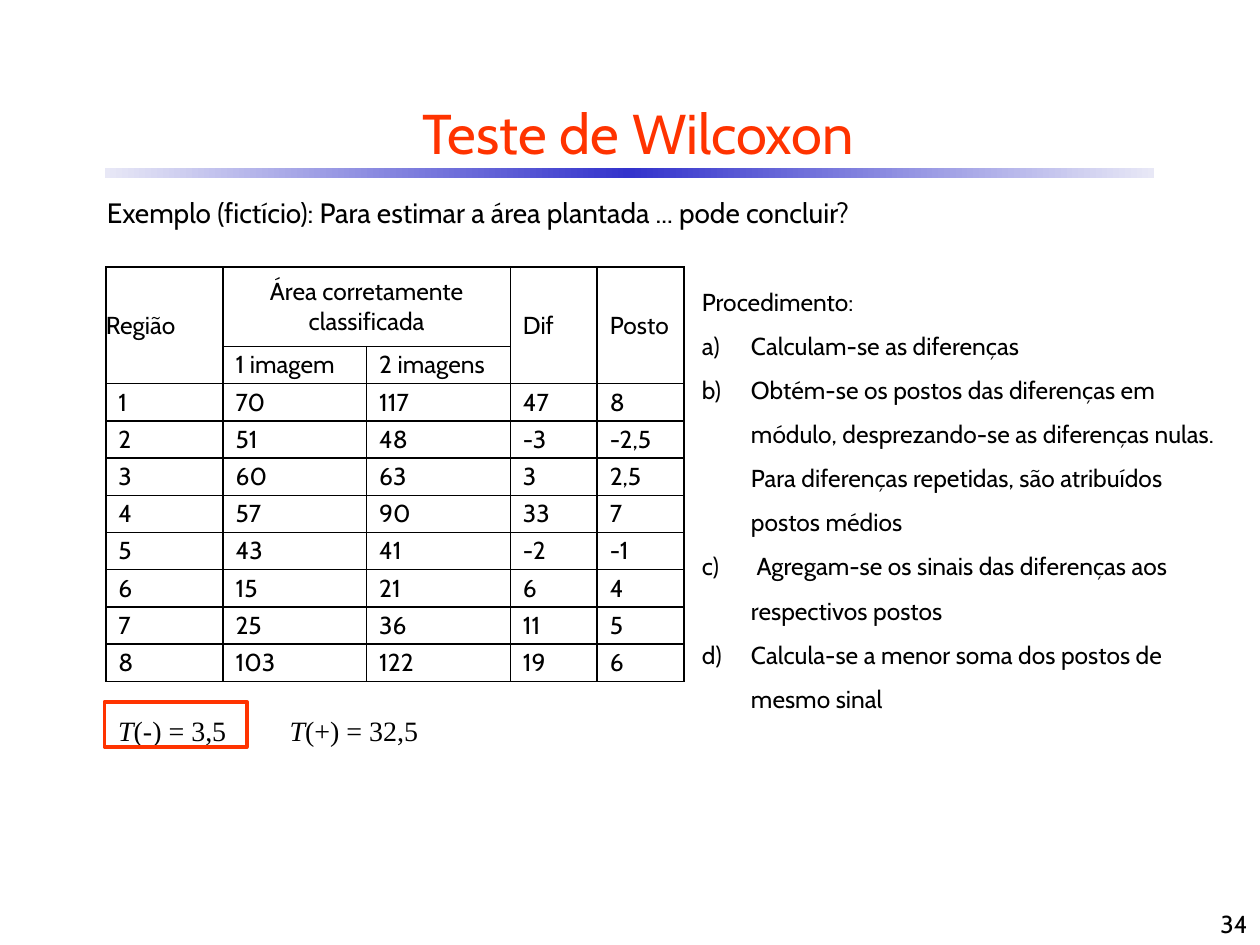
import pptx
import pptx.util
import pptx.dml.color
import pptx.enum.shapes
import pptx.enum.text
import pptx.oxml
import pptx.oxml.ns

Inches = pptx.util.Inches
Pt = pptx.util.Pt
RGBColor = pptx.dml.color.RGBColor
ALIGN = pptx.enum.text.PP_ALIGN
ANCHOR = pptx.enum.text.MSO_ANCHOR
FIT = pptx.enum.text.MSO_AUTO_SIZE
RECTANGLE = pptx.enum.shapes.MSO_SHAPE.RECTANGLE

BLACK = RGBColor(0x00, 0x00, 0x00)
WHITE = RGBColor(0xFF, 0xFF, 0xFF)
ORANGE = RGBColor(0xFF, 0x33, 0x00)
BLUE = RGBColor(0x33, 0x33, 0xCC)
PALE = RGBColor(0xE8, 0xE8, 0xF6)

HEADERS = {
    (0, 0): "Região",
    (0, 1): "Área corretamente classificada",
    (0, 3): "Dif",
    (0, 4): "Posto",
    (1, 1): "1 imagem",
    (1, 2): "2 imagens",
}
MERGES = [((0, 0), (1, 0)), ((0, 1), (0, 2)), ((0, 3), (1, 3)), ((0, 4), (1, 4))]
REGIONS = [
    ("1", "70", "117", "47", "8"),
    ("2", "51", "48", "-3", "-2,5"),
    ("3", "60", "63", "3", "2,5"),
    ("4", "57", "90", "33", "7"),
    ("5", "43", "41", "-2", "-1"),
    ("6", "15", "21", "6", "4"),
    ("7", "25", "36", "11", "5"),
    ("8", "103", "122", "19", "6"),
]
COLUMN_WIDTHS = [0.93, 1.14, 1.14, 0.69, 0.69]
HEADER_HEIGHT, TABLE_HEIGHT = 0.63, 3.29

STEPS = [
    "Calculam-se as diferenças",
    "Obtém-se os postos das diferenças em módulo, desprezando-se as diferenças "
    "nulas. Para diferenças repetidas, são atribuídos postos médios",
    " Agregam-se os sinais das diferenças aos respectivos postos",
    "Calcula-se a menor soma dos postos de mesmo sinal",
]


def add_xml(parent, tag, content="", **attributes):
    """Append one DrawingML element to parent."""
    listed = "".join(f' {name}="{value}"' for name, value in attributes.items())
    namespace = pptx.oxml.ns.nsdecls("a")
    parent.append(pptx.oxml.parse_xml(
        f"<a:{tag} {namespace}{listed}>{content}</a:{tag}>"))


class SlideBuilder:
    def __init__(self, page, font="Cabin", size=14):
        self.page = page
        self.font = font
        self.size = size

    def span(self, para, text, size=None, color=BLACK, font=None, italic=False):
        span = para.add_run()
        span.text = text
        span.font.name = font or self.font
        span.font.size = Pt(size or self.size)
        span.font.color.rgb = color
        span.font.italic = italic

    def indent(self, para, hanging, line_spacing=1.0):
        properties = para._p.get_or_add_pPr()
        properties.set("marL", str(Inches(hanging)))
        properties.set("indent", str(-Inches(hanging)))
        para.line_spacing = line_spacing
        para.space_before = Pt(0)
        return properties

    def place(self, box, left, top, width, height):
        box.left, box.top = Inches(left), Inches(top)
        box.width, box.height = Inches(width), Inches(height)

    def title(self, text, *frame):
        box = self.page.shapes.title
        self.place(box, *frame)
        box.text_frame.vertical_anchor = ANCHOR.MIDDLE
        para = box.text_frame.paragraphs[0]
        para.alignment = ALIGN.CENTER
        self.span(para, text, size=32, color=ORANGE)

    def lettered_list(self, heading, items, *frame):
        box = self.page.placeholders[1]
        self.place(box, *frame)
        words = box.text_frame
        words.auto_size = FIT.SHAPE_TO_FIT_TEXT
        for number, text in enumerate([heading, *items]):
            para = words.add_paragraph() if number else words.paragraphs[0]
            properties = self.indent(para, 0.39, 1.5)
            if number:
                add_xml(properties, "buAutoNum", type="alphaLcParenR")
            else:
                add_xml(properties, "buNone")
            self.span(para, text)

    def text_box(self, *frame, anchor=ANCHOR.TOP, fit=FIT.SHAPE_TO_FIT_TEXT):
        """Add an empty text box and return its first paragraph."""
        box = self.page.shapes.add_textbox(*map(Inches, frame))
        box.text_frame.word_wrap = True
        box.text_frame.auto_size = fit
        box.text_frame.vertical_anchor = anchor
        return box.text_frame.paragraphs[0]

    def rectangle(self, *frame):
        box = self.page.shapes.add_shape(RECTANGLE, *map(Inches, frame))
        box.shadow.inherit = False
        return box

    def gradient_bar(self, *frame):
        bar = self.rectangle(*frame)
        bar.line.fill.background()
        bar.fill.gradient()
        bar.fill.gradient_angle = 0
        stops = bar.fill._fill._gradFill.gsLst
        for stop in list(stops):
            stops.remove(stop)
        for position, color in [(0, PALE), (50000, BLUE), (100000, PALE)]:
            add_xml(stops, "gs", f'<a:srgbClr val="{color}"/>', pos=position)

    def outline(self, *frame):
        box = self.rectangle(*frame)
        box.fill.background()
        box.line.color.rgb = ORANGE
        box.line.width = Pt(2)

    def cell(self, cell, text, margin=0.1, align=ALIGN.LEFT):
        cell.margin_left = cell.margin_right = Inches(margin)
        cell.margin_top = cell.margin_bottom = 0
        cell.vertical_anchor = ANCHOR.MIDDLE
        for side in ("lnL", "lnR", "lnT", "lnB"):
            add_xml(cell._tc.get_or_add_tcPr(), side,
                    f'<a:solidFill><a:srgbClr val="{BLACK}"/></a:solidFill>', w=Pt(1))
        cell.fill.solid()
        cell.fill.fore_color.rgb = WHITE
        para = cell.text_frame.paragraphs[0]
        para.alignment = align
        if text:
            self.span(para, text)

    def region_table(self, left, top):
        row_count = 2 + len(REGIONS)
        table = self.page.shapes.add_table(
            row_count, len(COLUMN_WIDTHS), Inches(left), Inches(top),
            Inches(sum(COLUMN_WIDTHS)), Inches(TABLE_HEIGHT)).table
        table.first_row = table.horz_banding = False
        for column, width in zip(table.columns, COLUMN_WIDTHS):
            column.width = Inches(width)
        row_height = (TABLE_HEIGHT - HEADER_HEIGHT) / (row_count - 1)
        for number, row in enumerate(table.rows):
            row.height = Inches(row_height if number else HEADER_HEIGHT)
        for first, last in MERGES:
            table.cell(*first).merge(table.cell(*last))
        for row in range(row_count):
            for column in range(len(COLUMN_WIDTHS)):
                place = (row, column)
                text = HEADERS.get(place, "") if row < 2 else REGIONS[row - 2][column]
                self.cell(table.cell(row, column), text,
                          margin=0 if place == (0, 0) else 0.1,
                          align=ALIGN.CENTER if place == (0, 1) else ALIGN.LEFT)

    def rank_sum(self, value, *frame):
        para = self.text_box(*frame)
        self.indent(para, 0.39, 1.5)
        for text, italic in [("T", True), (value, False)]:
            self.span(para, text, size=16, font="Times New Roman", italic=italic)


def main():
    deck = pptx.Presentation()
    deck.slide_width, deck.slide_height = Inches(10), Inches(7.5)
    builder = SlideBuilder(deck.slides.add_slide(deck.slide_layouts[1]))

    builder.gradient_bar(0.83, 1.33, 8.33, 0.08)
    builder.title("Teste de Wilcoxon", 0.33, 0.67, 9.47, 0.75)

    example = builder.text_box(0.75, 1.5, 8.7, 0.37)
    builder.indent(example, 0.21)
    builder.span(example, "Exemplo (fictício): Para estimar a área plantada ... "
                 "pode concluir?", size=16)

    builder.region_table(0.84, 2.12)
    builder.lettered_list("Procedimento:", STEPS, 5.47, 2.11, 4.38, 3.64)
    builder.rank_sum("(-) = 3,5", 0.84, 5.48, 1.3, 0.5)
    builder.rank_sum("(+) = 32,5", 2.2, 5.48, 3.02, 0.5)
    builder.outline(0.83, 5.57, 1.13, 0.36)

    page_number = builder.text_box(7.92, 7, 2.08, 0.5, anchor=ANCHOR.BOTTOM,
                                   fit=FIT.NONE)
    page_number.alignment = ALIGN.RIGHT
    builder.span(page_number, "34")
    deck.save("out.pptx")


if __name__ == "__main__":
    main()
